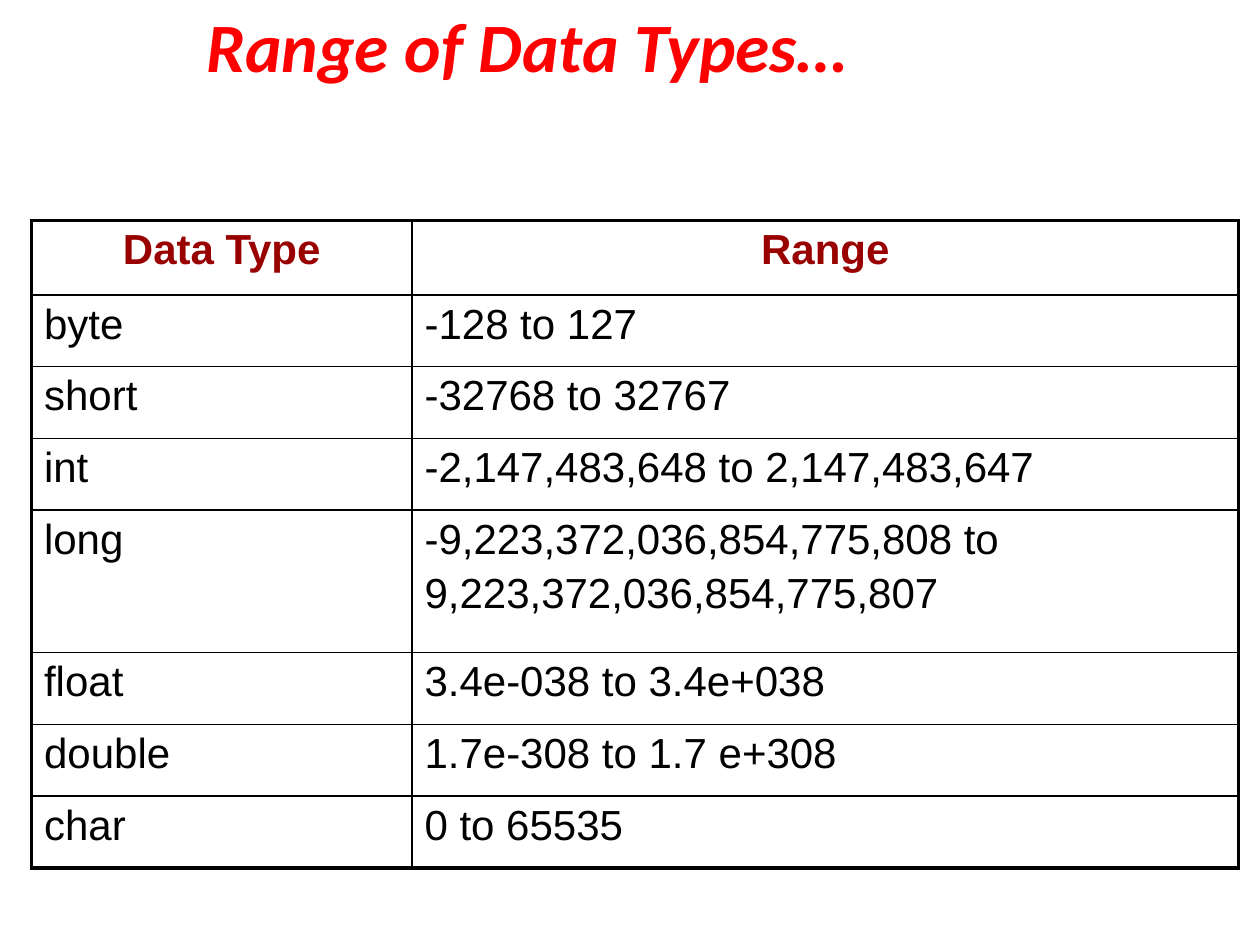
from pptx import Presentation, util as u
from pptx.dml.color import RGBColor
from pptx.enum import text
from pptx.oxml import parse_xml
from pptx.oxml.ns import nsdecls

RED = RGBColor(0xFF, 0, 0)
MAROON = RGBColor(0x99, 0, 0)
BLACK = RGBColor(0, 0, 0)

# Content
TITLE = "Range of Data Types…"
ROWS = [
    ("Data Type", "Range"),
    ("byte", "-128 to 127"),
    ("short", "-32768 to 32767"),
    ("int", "-2,147,483,648 to 2,147,483,647"),
    ("long", "-9,223,372,036,854,775,808 to\n9,223,372,036,854,775,807"),
    ("float", "3.4e-038 to 3.4e+038"),
    ("double", "1.7e-308 to 1.7 e+308"),
    ("char", "0 to 65535"),
]
WIDTHS = [3.02, 6.56]
HIGH = {0: 0.59, 4: 1.13}
ROW_H = 0.57
THIN, THICK = 1, 2.25

HEAD = dict(name="Calibri", size=u.Pt(39.6), bold=True, italic=True)
LABEL = dict(name="Arial", size=u.Pt(24), bold=True)
BODY = dict(name="Arial", size=u.Pt(24), bold=False)


def write(frame, words, style, color, align):
    """Fill a text frame, one paragraph per line."""
    frame.text = words
    for i, para in enumerate(frame.paragraphs):
        para.alignment = align
        if i:
            para.space_before = u.Pt(4)
        font = para.runs[0].font
        for key, val in style.items():
            setattr(font, key, val)
        font.color.rgb = color


def border(cell, sides):
    """Draw black cell edges; sides maps tag to width in points."""
    props = cell._tc.get_or_add_tcPr()
    for i, (tag, width) in enumerate(sides.items()):
        props.insert(i, parse_xml(
            f'<a:{tag} {nsdecls("a")} w="{int(u.Pt(width))}"><a:solidFill>'
            f'<a:srgbClr val="{BLACK}"/></a:solidFill></a:{tag}>'))


prs = Presentation()
prs.slide_width, prs.slide_height = u.Inches(10), u.Inches(7.5)
slide = prs.slides.add_slide(prs.slide_layouts[6])

# Title
box = slide.shapes.add_textbox(0, 0, u.Inches(8.36), u.Inches(0.71))
frame = box.text_frame
frame.word_wrap = True
frame.vertical_anchor = text.MSO_ANCHOR.MIDDLE
write(frame, TITLE, HEAD, RED, text.PP_ALIGN.CENTER)

# Table
tall = [HIGH.get(r, ROW_H) for r in range(len(ROWS))]
grid = slide.shapes.add_table(
    len(ROWS), len(WIDTHS), u.Inches(0.25), u.Inches(1.75),
    u.Inches(sum(WIDTHS)), u.Inches(sum(tall))).table
grid.first_row = grid.horz_banding = False
for col, wide in zip(grid.columns, WIDTHS):
    col.width = u.Inches(wide)
for row, high in zip(grid.rows, tall):
    row.height = u.Inches(high)

# Cells, with a thick outer frame
last_r, last_c = len(ROWS) - 1, len(WIDTHS) - 1
for r, row in enumerate(ROWS):
    look = ((LABEL, MAROON, text.PP_ALIGN.CENTER) if r == 0
            else (BODY, BLACK, text.PP_ALIGN.LEFT))
    for c, words in enumerate(row):
        cell = grid.cell(r, c)
        cell.fill.background()
        write(cell.text_frame, words, *look)
        outer = dict(lnL=c == 0, lnR=c == last_c, lnT=r == 0, lnB=r == last_r)
        border(cell, {k: THICK if edge else THIN for k, edge in outer.items()})

prs.save("out.pptx")
